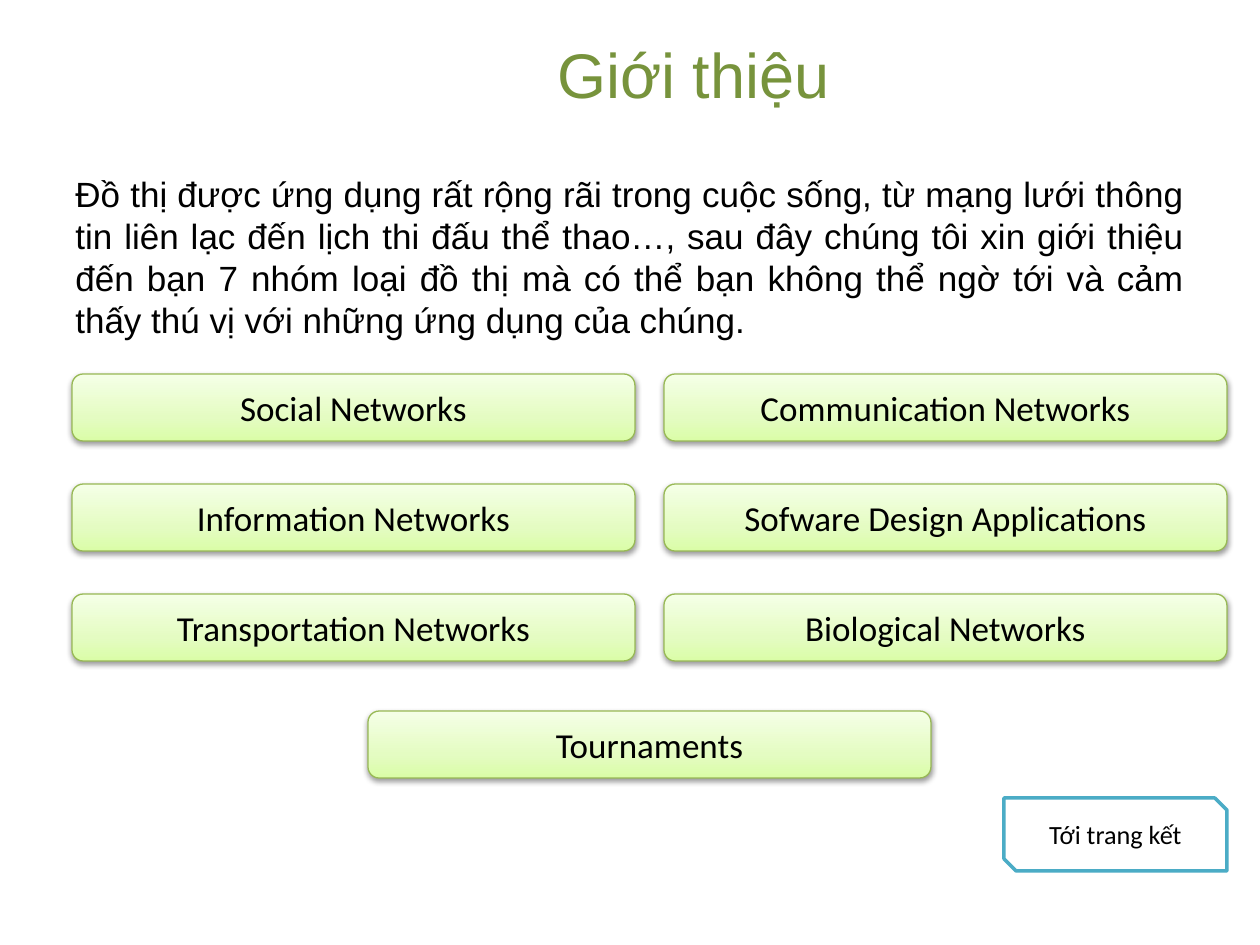
from dataclasses import dataclass

from lxml.etree import SubElement
from pptx import Presentation
from pptx.dml.color import RGBColor
from pptx.enum.shapes import MSO_SHAPE
from pptx.enum.text import MSO_ANCHOR, PP_ALIGN
from pptx.oxml.ns import qn
from pptx.shapes.autoshape import Shape
from pptx.slide import Slide
from pptx.util import Emu, Pt

PIXELS_PER_INCH = 126
BLACK = "000000"
BUTTON_WIDTH, BUTTON_HEIGHT = 563, 67
LEFT_COLUMN, RIGHT_COLUMN = 72, 664
MIDDLE_COLUMN = (LEFT_COLUMN + RIGHT_COLUMN) // 2
FIRST_ROW, ROW_PITCH = 374, 110
LAST_ROW = 711
GRADIENT_STOPS = ((0, "DAFDA7"), (35, "E4FCC2"), (100, "F5FFE7"))
TOPIC_ROWS = (
    ("Social Networks", "Communication Networks"),
    ("Information Networks", "Sofware Design Applications"),
    ("Transportation Networks", "Biological Networks"),
)
INTRODUCTION = (
    "Đồ thị được ứng dụng rất rộng rãi trong cuộc sống, từ mạng lưới thông "
    "tin liên lạc đến lịch thi đấu thể thao…, sau đây chúng tôi xin giới thiệu "
    "đến bạn 7 nhóm loại đồ thị mà có thể bạn không thể ngờ tới và cảm "
    "thấy thú vị với những ứng dụng của chúng."
)


@dataclass(frozen=True)
class Box:
    left: int
    top: int
    width: int
    height: int

    def emu(self) -> tuple[Emu, Emu, Emu, Emu]:
        return px(self.left), px(self.top), px(self.width), px(self.height)


@dataclass(frozen=True)
class Topic:
    label: str
    left: int
    top: int


def px(length: int) -> Emu:
    return Emu(round(length * 914400 / PIXELS_PER_INCH))


def color(value: str) -> RGBColor:
    return RGBColor.from_string(value)


def write_text(shape: Shape, text: str, size: int, font: str, fill: str,
               alignment: PP_ALIGN, anchor: MSO_ANCHOR) -> None:
    frame = shape.text_frame
    frame.word_wrap = True
    frame.vertical_anchor = anchor
    paragraph = frame.paragraphs[0]
    paragraph.alignment = alignment
    run = paragraph.add_run()
    run.text = text
    run.font.size = Pt(size)
    run.font.name = font
    run.font.color.rgb = color(fill)


def add_label_shape(slide: Slide, kind: MSO_SHAPE, box: Box, text: str, size: int,
                    line_color: str, line_width: float) -> Shape:
    shape = slide.shapes.add_shape(kind, *box.emu())
    shape.line.color.rgb = color(line_color)
    shape.line.width = Pt(line_width)
    shape.shadow.inherit = False
    write_text(shape, text, size, "Calibri", BLACK, PP_ALIGN.CENTER, MSO_ANCHOR.MIDDLE)
    return shape


def apply_gradient(shape: Shape) -> None:
    shape.fill.gradient()
    shape.fill.gradient_angle = 90
    stops = shape._element.spPr.find(".//" + qn("a:gsLst"))
    for stop in list(stops):
        stops.remove(stop)
    for position, value in GRADIENT_STOPS:
        stop = SubElement(stops, qn("a:gs"), pos=str(position * 1000))
        SubElement(stop, qn("a:srgbClr"), val=value)


def apply_shadow(shape: Shape) -> None:
    effects = shape._element.spPr.find(qn("a:effectLst"))
    shadow = SubElement(effects, qn("a:outerShdw"), blurRad=str(Pt(3.1)),
                        dist=str(Pt(1.6)), dir="5400000", rotWithShape="0")
    shade = SubElement(shadow, qn("a:srgbClr"), val=BLACK)
    SubElement(shade, qn("a:alpha"), val="38000")


def add_topic(slide: Slide, topic: Topic) -> None:
    box = Box(topic.left, topic.top, BUTTON_WIDTH, BUTTON_HEIGHT)
    button = add_label_shape(slide, MSO_SHAPE.ROUNDED_RECTANGLE, box, topic.label,
                             20, "98B955", 0.75)
    apply_gradient(button)
    apply_shadow(button)


def main() -> None:
    presentation = Presentation()
    presentation.slide_width = px(1260)
    presentation.slide_height = px(945)
    slide = presentation.slides.add_slide(presentation.slide_layouts[5])

    title = slide.shapes.title
    title.left, title.top, title.width, title.height = Box(190, 6, 1007, 134).emu()
    write_text(title, "Giới thiệu", 36, "Arial", "77933C",
               PP_ALIGN.CENTER, MSO_ANCHOR.MIDDLE)

    introduction = slide.shapes.add_textbox(*Box(63, 166, 1134, 188).emu())
    write_text(introduction, INTRODUCTION, 20, "Arial", BLACK,
               PP_ALIGN.JUSTIFY, MSO_ANCHOR.TOP)
    introduction.text_frame.paragraphs[0].line_spacing = Pt(24)

    topics = [
        Topic(label, left, FIRST_ROW + row * ROW_PITCH)
        for row, labels in enumerate(TOPIC_ROWS)
        for label, left in zip(labels, (LEFT_COLUMN, RIGHT_COLUMN))
    ]
    topics.append(Topic("Tournaments", MIDDLE_COLUMN, LAST_ROW))
    for topic in topics:
        add_topic(slide, topic)

    closing = add_label_shape(slide, MSO_SHAPE.SNIP_2_DIAG_RECTANGLE,
                              Box(1004, 798, 223, 73), "Tới trang kết", 15, "4BACC6", 2)
    closing.fill.solid()
    closing.fill.fore_color.rgb = color("FFFFFF")

    presentation.save("out.pptx")


if __name__ == "__main__":
    main()
